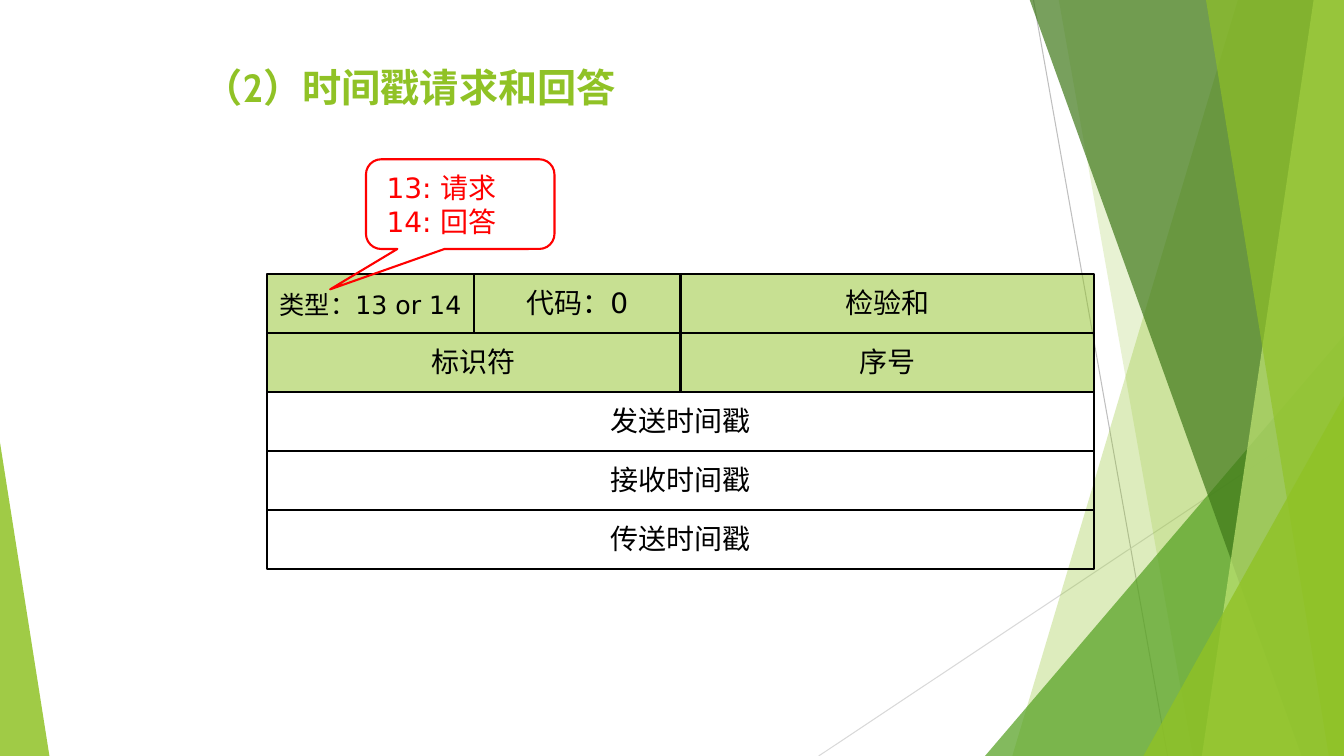
from lxml import etree
from pptx import Presentation
from pptx import util as u
from pptx.dml.color import RGBColor
from pptx.enum import shapes, text
from pptx.oxml.ns import qn

GREEN, BLACK, RED = "90C226", "000000", "FF0000"


def paint(fill, color, opacity=100):
    """Give a fill a solid hex colour with an opacity in percent."""
    fill.solid()
    fill.fore_color.rgb = RGBColor.from_string(color)
    if opacity < 100:
        tint = fill._xPr.find(qn("a:solidFill"))[0]
        etree.SubElement(tint, qn("a:alpha"), val=str(opacity * 1000))


def write(para, words, size, color, font="DejaVu Sans", bold=False):
    span = para.add_run()
    span.text = words
    span.font.name = font
    span.font.size = u.Pt(size)
    span.font.bold = bold
    paint(span.font.fill, color)


deck = Presentation()
deck.slide_width, deck.slide_height = u.Inches(13.33), u.Inches(7.5)
page = deck.slides.add_slide(deck.slide_layouts[6])

# Background: two thin lines, then translucent facets from back to front
for x1, y1, x2, y2, color in [(10.25, 0, 11.58, 7.5, "BFBFBF"),
                              (13.33, 4.03, 8.12, 7.5, "D9D9D9")]:
    line = page.shapes.add_connector(
        shapes.MSO_CONNECTOR.STRAIGHT,
        u.Inches(x1), u.Inches(y1), u.Inches(x2), u.Inches(y2))
    paint(line.line.fill, color)
    line.line.width = u.Pt(0.75)
    etree.SubElement(line._element.spPr, qn("a:effectLst"))

# Bands give top x and bottom x; triangles give left, top, width, apex
facets = [
    ("band", (12.28, 10.04), GREEN, 30),
    ("band", (10.5, 11.83), GREEN, 20),
    ("triangle", (9.77, 3.33, 3.56, 1), "54A021", 72),
    ("band", (10.21, 12.91), "3F7819", 70),
    ("band", (13.03, 11.92), "C0E474", 70),
    ("band", (11.96, 13.18), GREEN, 65),
    ("triangle", (11.34, 3.93, 1.99, 1), GREEN, 80),
    ("triangle", (0, 4.39, 0.49, 0), GREEN, 85),
]
for kind, place, color, opacity in facets:
    if kind == "band":
        top_x, bottom_x = place
        corners = [(u.Inches(x), u.Inches(y)) for x, y in
                   [(top_x, -0.01), (13.33, -0.01), (13.33, 7.5), (bottom_x, 7.5)]]
        outline = page.shapes.build_freeform(*corners[0])
        outline.add_line_segments(corners[1:], close=True)
        facet = outline.convert_to_shape()
    else:
        left, top, width, apex = place
        facet = page.shapes.add_shape(
            shapes.MSO_SHAPE.ISOSCELES_TRIANGLE,
            u.Inches(left), u.Inches(top), u.Inches(width), u.Inches(7.5 - top))
        facet.adjustments[0] = apex
    paint(facet.fill, color, opacity)
    facet.line.fill.background()
    facet.shadow.inherit = False

title = page.shapes.add_textbox(
    u.Inches(1.92), u.Inches(0.58), u.Inches(5.25), u.Inches(0.83))
title.text_frame.word_wrap = True
write(title.text_frame.paragraphs[0], "（2）时间戳请求和回答", 28, GREEN, "Cabin", True)

# Message format: each field has a label, a width in quarters and a text size
LEFT, TOP, QUARTER, ROW = 2.65, 2.72, 2.05, 0.585
rows = [
    [("类型：13 or 14", 1, 18), ("代码：0", 1, 20), ("检验和", 2, 20)],
    [("标识符", 2, 20), ("序号", 2, 20)],
    [("发送时间戳", 4, 20)],
    [("接收时间戳", 4, 20)],
    [("传送时间戳", 4, 20)],
]
for index, fields in enumerate(rows):
    left, top = LEFT, TOP + index * ROW
    for label, quarters, size in fields:
        width = quarters * QUARTER
        cell = page.shapes.add_shape(
            shapes.MSO_SHAPE.RECTANGLE,
            u.Inches(left), u.Inches(top), u.Inches(width), u.Inches(ROW))
        cell.shadow.inherit = False
        if index < 2:
            paint(cell.fill, GREEN, 50)
        else:
            cell.fill.background()
        paint(cell.line.fill, BLACK)
        cell.line.width = u.Pt(1.5)

        label_width = 2.15 if quarters < 4 else 3.05
        label_height = 0.41 if size == 18 else 0.44
        box = page.shapes.add_textbox(
            u.Inches(left + (width - label_width) / 2),
            u.Inches(top + (ROW - label_height) / 2 - 0.01 + (20 - size) * 0.01),
            u.Inches(label_width), u.Inches(label_height))
        box.text_frame.word_wrap = True
        para = box.text_frame.paragraphs[0]
        para.alignment = text.PP_ALIGN.CENTER
        write(para, label, size, BLACK)
        left += width

callout = page.shapes.add_shape(
    shapes.MSO_SHAPE.ROUNDED_RECTANGULAR_CALLOUT,
    u.Inches(3.63), u.Inches(1.58), u.Inches(1.87), u.Inches(0.89))
for index, value in enumerate([-0.69, 0.95, 0.17]):
    callout.adjustments[index] = value
callout.shadow.inherit = False
callout.fill.background()
paint(callout.line.fill, RED)
callout.line.width = u.Pt(1.5)
frame = callout.text_frame
frame.margin_left, frame.margin_right = u.Inches(0.16), 0
frame.vertical_anchor = text.MSO_ANCHOR.MIDDLE
for index, words in enumerate(["13: 请求", "14: 回答"]):
    para = frame.add_paragraph() if index else frame.paragraphs[0]
    para.alignment = text.PP_ALIGN.LEFT
    write(para, words, 20, RED)

deck.save("out.pptx")
